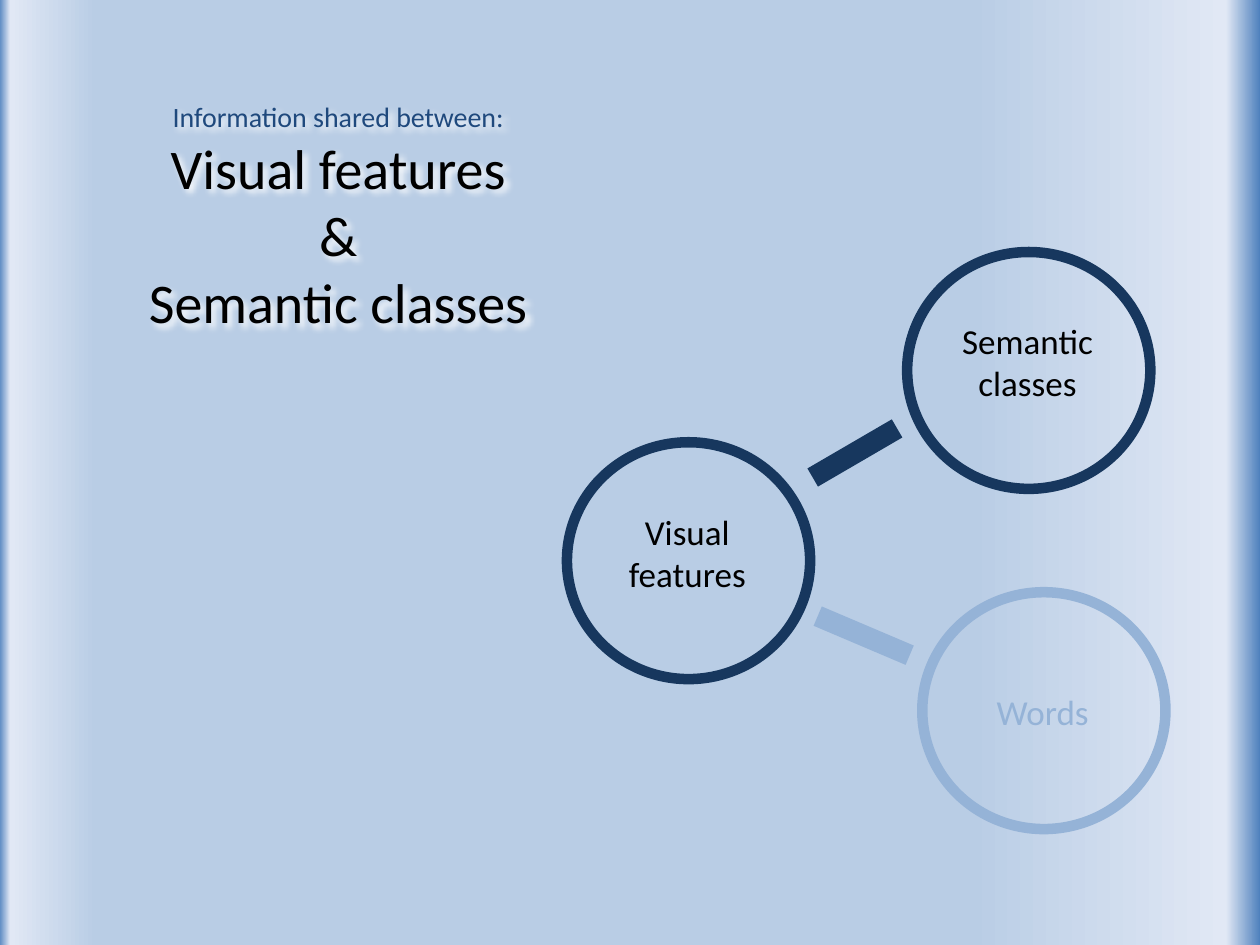
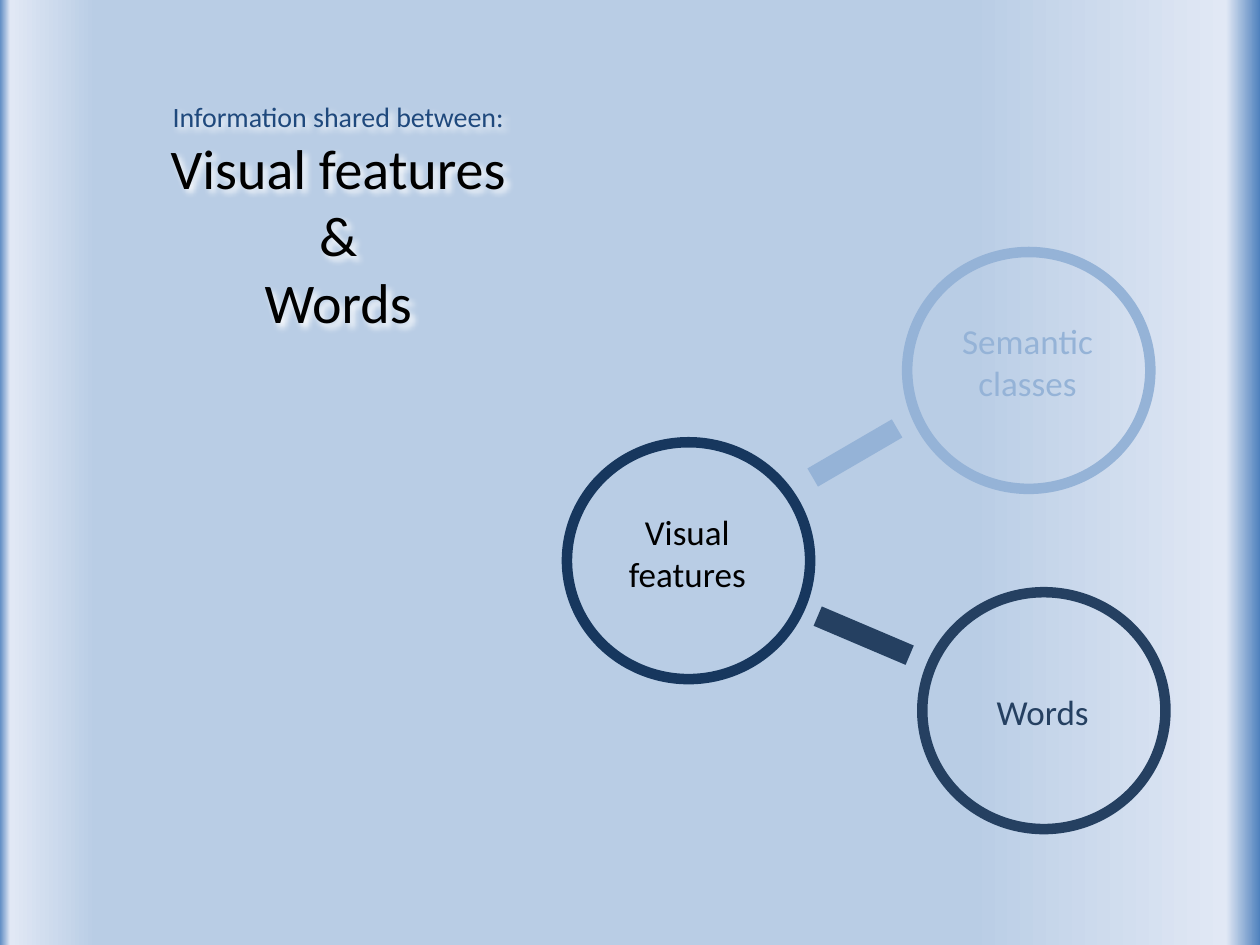
from dataclasses import dataclass

from lxml import etree
from pptx import Presentation
from pptx.dml.color import RGBColor
from pptx.enum.shapes import MSO_CONNECTOR, MSO_SHAPE
from pptx.enum.text import MSO_ANCHOR, MSO_AUTO_SIZE, PP_ALIGN
from pptx.oxml import parse_xml
from pptx.oxml.ns import nsdecls, qn
from pptx.shapes.autoshape import Shape
from pptx.slide import Slide
from pptx.util import Inches, Pt

RECTANGLE, OVAL = MSO_SHAPE.RECTANGLE, MSO_SHAPE.OVAL
STRAIGHT = MSO_CONNECTOR.STRAIGHT
CENTER, TOP = PP_ALIGN.CENTER, MSO_ANCHOR.TOP
GROW = MSO_AUTO_SIZE.SHAPE_TO_FIT_TEXT

SLIDE_WIDTH, SLIDE_HEIGHT = 10, 7.5
CIRCLE_WIDTH, CIRCLE_HEIGHT = 1.93, 1.88
LABEL_WIDTH, LABEL_INSET = 1.35, 0.28


@dataclass(frozen=True)
class Theme:
    font: str = "Calibri"
    background: str = "B9CDE5"
    band_stops: tuple[tuple[int, str], ...] = (
        (0, "4F81BD"), (9, "E1E8F5"), (77, "B9CDE5"))
    kicker: str = "1F497D"
    text: str = "000000"
    strong: str = "17375E"
    strong_words: str = "254061"
    faded: str = "95B3D7"
    glow: str = "FFFFFF"
    kicker_size: int = 16
    title_size: int = 32
    label_size: int = 20
    ring_width: int = 6
    link_width: int = 12


@dataclass(frozen=True)
class Concept:
    lines: tuple[str, ...]
    left: float
    top: float
    label_drop: float
    label_height: float


@dataclass(frozen=True)
class Link:
    start: tuple[float, float]
    end: tuple[float, float]


@dataclass(frozen=True)
class Pairing:
    """What one slide compares with the visual features."""
    title: str
    semantic_line: str
    semantic_text: str
    words_line: str
    words_text: str


THEME = Theme()
VISUAL = Concept(("Visual", "features"), 4.5, 3.51, 0.49, 0.77)
SEMANTIC = Concept(("Semantic classes",), 7.2, 2, 0.49, 0.77)
WORDS = Concept(("Words",), 7.32, 4.7, 0.73, 0.44)
SEMANTIC_LINK = Link((6.45, 3.79), (7.12, 3.4))
WORDS_LINK = Link((6.49, 4.89), (7.22, 5.2))
PAIRINGS = (
    Pairing("Semantic classes", THEME.strong, THEME.text, THEME.faded, THEME.faded),
    Pairing("Words", THEME.faded, THEME.faded, THEME.strong_words, THEME.strong_words),
)


def rgb(color: str) -> RGBColor:
    return RGBColor.from_string(color)


def add_plain_shape(slide: Slide, kind: int, left: float, top: float,
                    width: float, height: float) -> Shape:
    """Add a shape with no shadow, fill or line."""
    shape = slide.shapes.add_shape(
        kind, Inches(left), Inches(top), Inches(width), Inches(height))
    shape.shadow.inherit = False
    shape.fill.background()
    shape.line.fill.background()
    return shape


def add_band(slide: Slide, left: float, width: float, angle: int) -> None:
    band = add_plain_shape(slide, RECTANGLE, left, 0, width, SLIDE_HEIGHT)
    stops = "".join(
        f'<a:gs pos="{position * 1000}"><a:srgbClr val="{color}"/></a:gs>'
        for position, color in THEME.band_stops)
    gradient = parse_xml(
        f'<a:gradFill {nsdecls("a")} rotWithShape="1"><a:gsLst>{stops}</a:gsLst>'
        f'<a:lin ang="{angle * 60000}" scaled="0"/></a:gradFill>')
    properties = band.element.spPr
    properties.replace(properties.find(qn("a:noFill")), gradient)


def add_background(slide: Slide) -> None:
    base = add_plain_shape(slide, RECTANGLE, 0, 0, SLIDE_WIDTH, SLIDE_HEIGHT)
    base.fill.solid()
    base.fill.fore_color.rgb = rgb(THEME.background)
    add_band(slide, 7, 3, angle=180)
    add_band(slide, -0.01, 1.01, angle=0)


def add_text(slide: Slide, lines: tuple[str, ...], *, left: float, top: float,
             width: float, height: float, size: int, color: str) -> Shape:
    box = slide.shapes.add_textbox(
        Inches(left), Inches(top), Inches(width), Inches(height))
    frame = box.text_frame
    frame.word_wrap = True
    frame.auto_size = GROW
    frame.vertical_anchor = TOP
    frame.text = "\n".join(lines)
    for paragraph in frame.paragraphs:
        paragraph.alignment = CENTER
        for run in paragraph.runs:
            run.font.name = THEME.font
            run.font.size = Pt(size)
            run.font.color.rgb = rgb(color)
    return box


def add_title(slide: Slide, partner: str) -> None:
    box = add_text(
        slide, ("Information shared between:", "Visual features", "&", partner),
        left=0.43, top=0.74, width=4.51, height=2.05,
        size=THEME.title_size, color=THEME.text)
    kicker = box.text_frame.paragraphs[0].runs[0].font
    kicker.size = Pt(THEME.kicker_size)
    kicker.color.rgb = rgb(THEME.kicker)
    box.element.spPr.append(parse_xml(
        f'<a:effectLst {nsdecls("a")}>'
        f'<a:outerShdw blurRad="{Pt(4)}" dist="{Pt(3)}" dir="2700000" algn="tl" '
        f'rotWithShape="0"><a:srgbClr val="{THEME.glow}"/></a:outerShdw>'
        '</a:effectLst>'))


def add_concept(slide: Slide, concept: Concept, line_color: str,
                text_color: str) -> None:
    circle = add_plain_shape(
        slide, OVAL, concept.left, concept.top, CIRCLE_WIDTH, CIRCLE_HEIGHT)
    circle.line.color.rgb = rgb(line_color)
    circle.line.width = Pt(THEME.ring_width)
    add_text(
        slide, concept.lines, left=concept.left + LABEL_INSET,
        top=concept.top + concept.label_drop, width=LABEL_WIDTH,
        height=concept.label_height, size=THEME.label_size, color=text_color)


def add_link(slide: Slide, link: Link, color: str) -> None:
    connector = slide.shapes.add_connector(
        STRAIGHT, *(Inches(value) for value in link.start + link.end))
    connector.line.color.rgb = rgb(color)
    connector.line.width = Pt(THEME.link_width)
    etree.SubElement(connector.element.spPr, qn("a:effectLst"))


def add_pairing_slide(presentation: Presentation, pairing: Pairing) -> None:
    slide = presentation.slides.add_slide(presentation.slide_layouts[6])
    add_background(slide)
    add_title(slide, pairing.title)
    add_concept(slide, VISUAL, THEME.strong, THEME.text)
    add_concept(slide, SEMANTIC, pairing.semantic_line, pairing.semantic_text)
    add_concept(slide, WORDS, pairing.words_line, pairing.words_text)
    add_link(slide, SEMANTIC_LINK, pairing.semantic_line)
    add_link(slide, WORDS_LINK, pairing.words_line)


def main() -> None:
    presentation = Presentation()
    presentation.slide_width = Inches(SLIDE_WIDTH)
    presentation.slide_height = Inches(SLIDE_HEIGHT)
    for pairing in PAIRINGS:
        add_pairing_slide(presentation, pairing)
    presentation.save("out.pptx")


if __name__ == "__main__":
    main()
